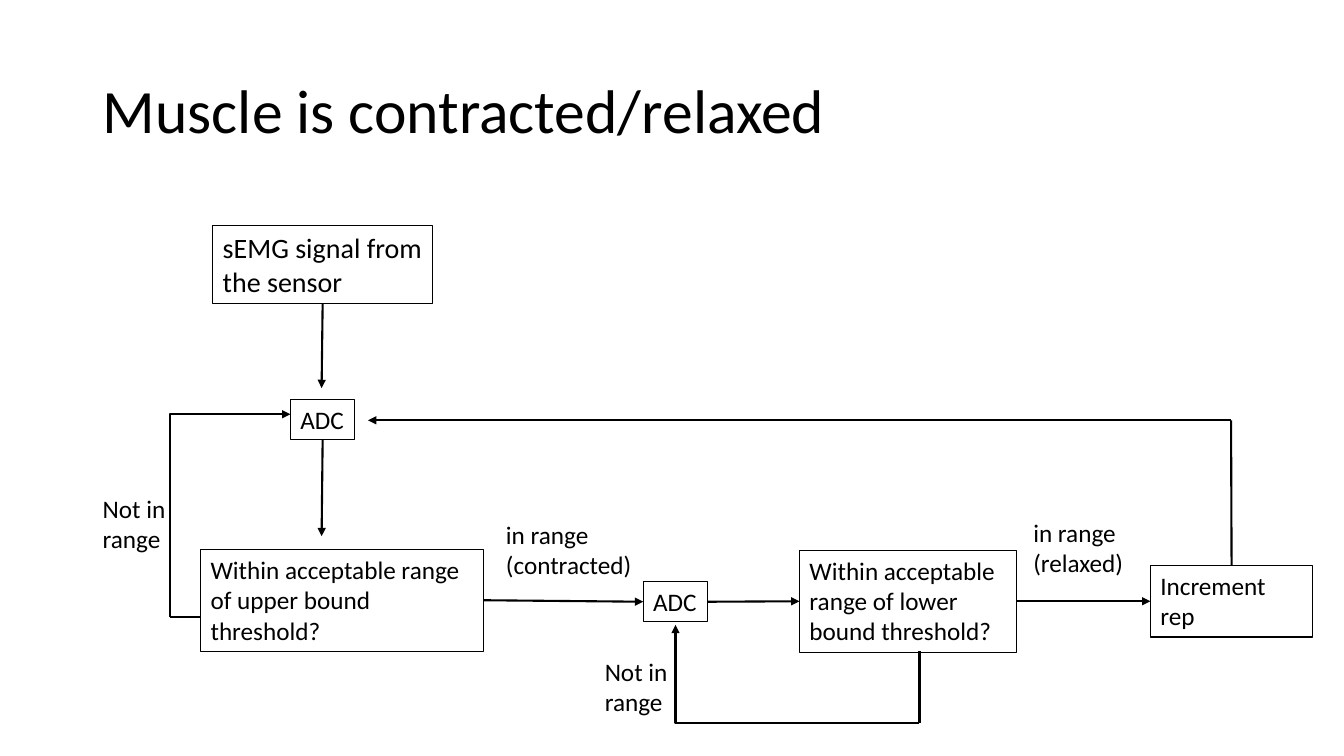
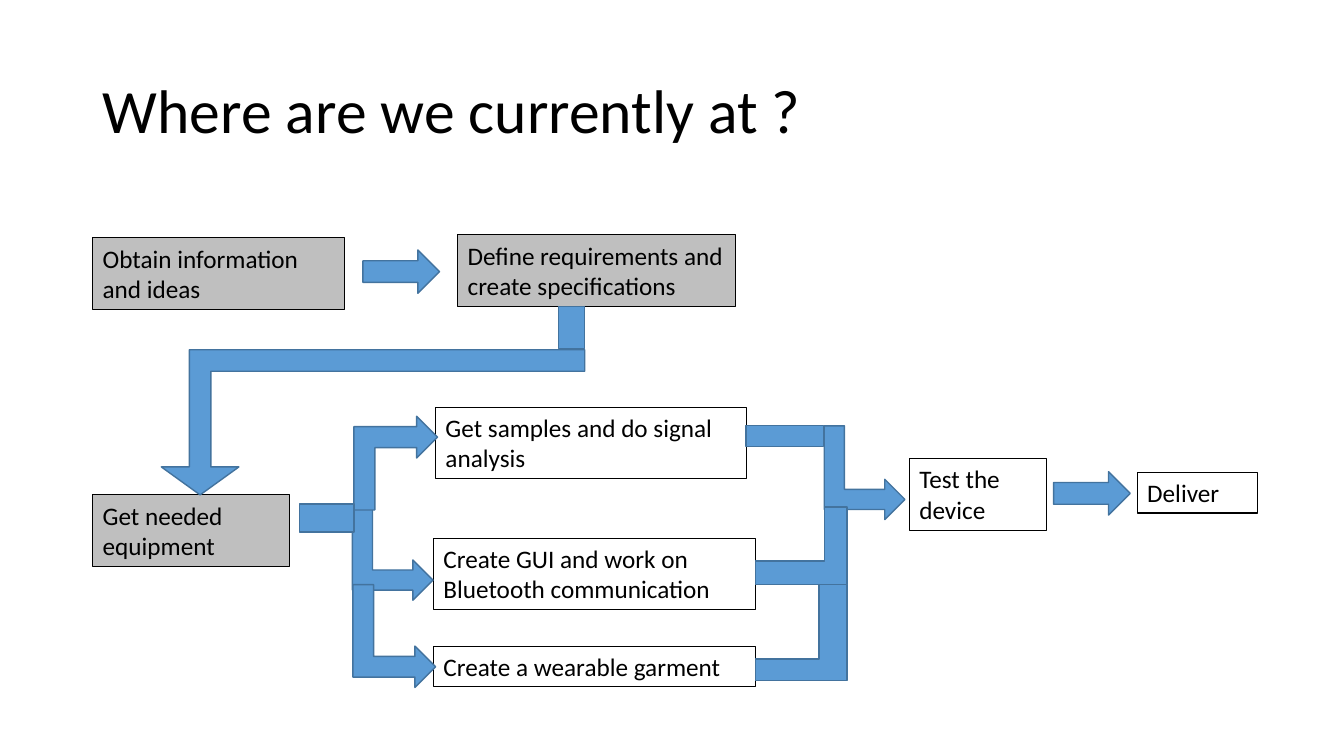
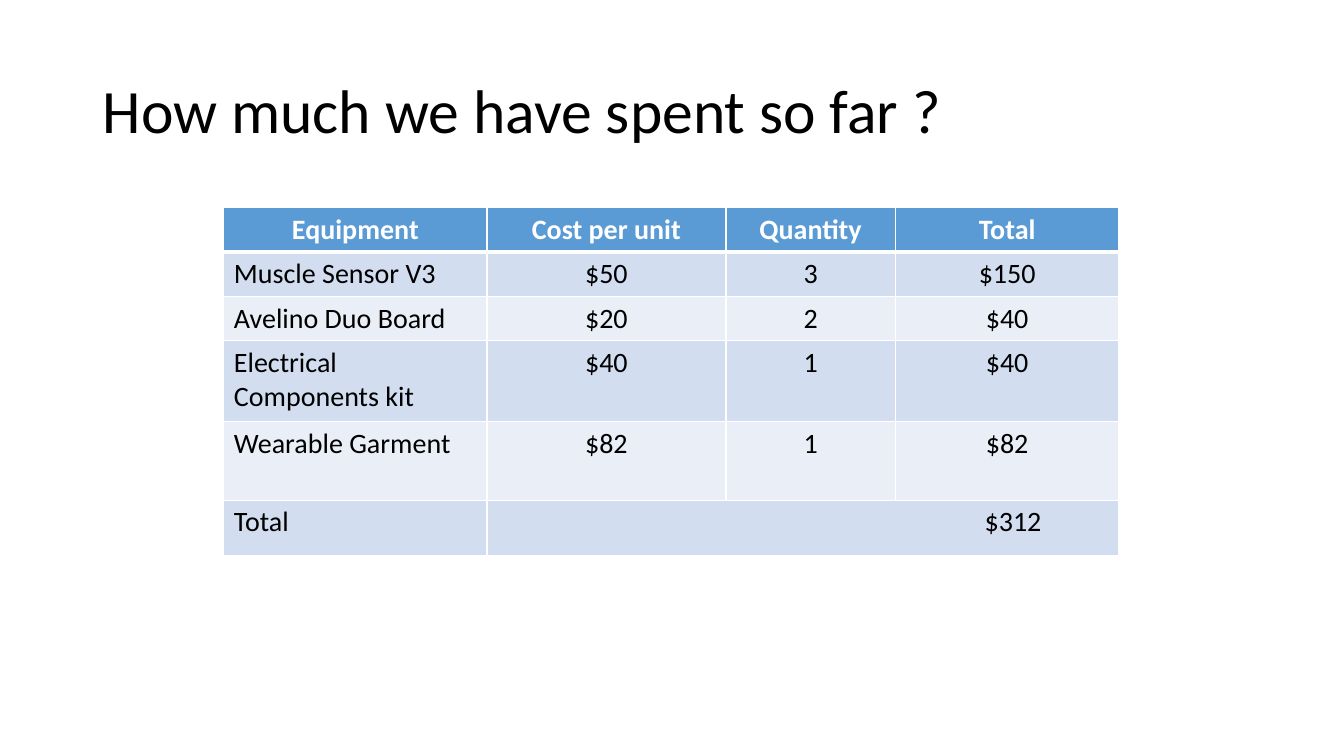
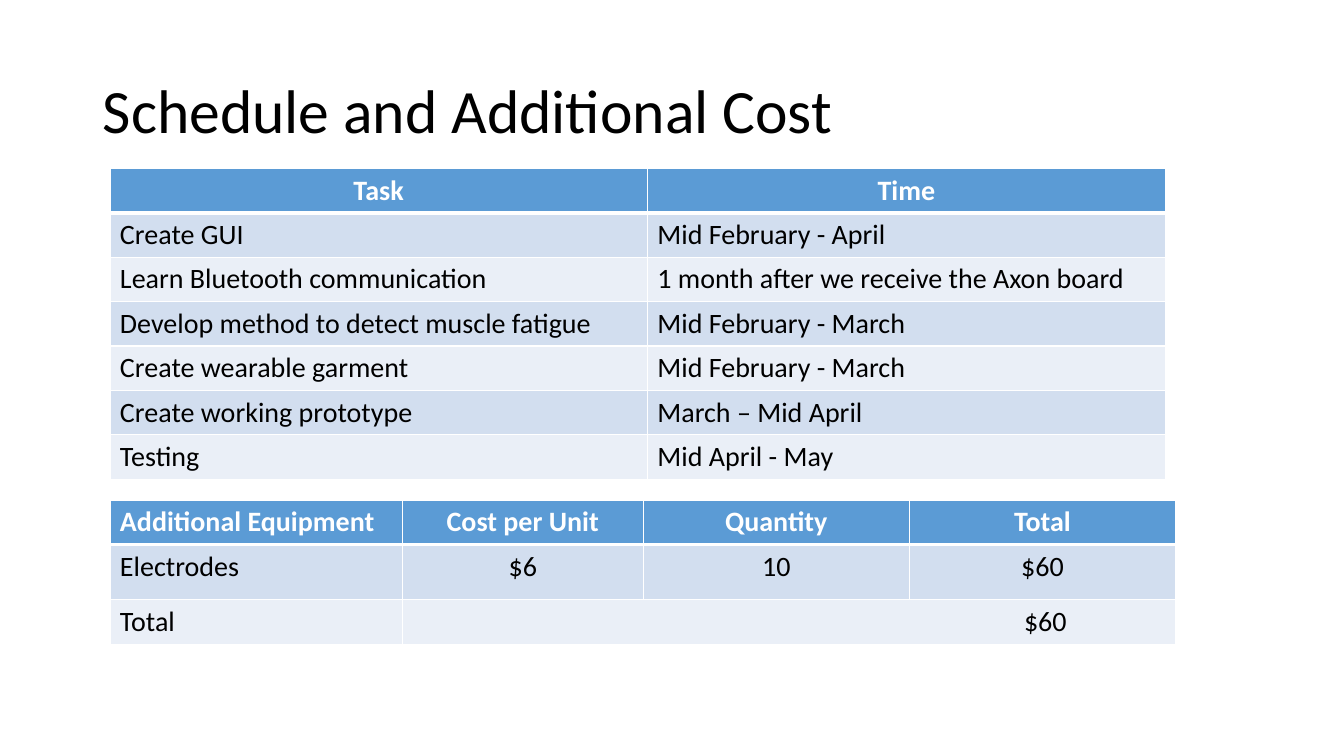
import pptx
import pptx.util
import pptx.dml.color
import pptx.enum.shapes
import pptx.enum.text
import pptx.oxml
import pptx.oxml.ns
from lxml import etree

Inches, Pt = pptx.util.Inches, pptx.util.Pt
RGBColor = pptx.dml.color.RGBColor
SHAPE = pptx.enum.shapes.MSO_SHAPE
CONNECTOR = pptx.enum.shapes.MSO_CONNECTOR
ALIGN = pptx.enum.text.PP_ALIGN
ANCHOR = pptx.enum.text.MSO_ANCHOR
qn = pptx.oxml.ns.qn

BLACK = RGBColor(0x00, 0x00, 0x00)
WHITE = RGBColor(0xFF, 0xFF, 0xFF)
DONE_GREY = RGBColor(0xBF, 0xBF, 0xBF)
ARROW_BLUE = RGBColor(0x5B, 0x9B, 0xD5)
ARROW_EDGE = RGBColor(0x43, 0x73, 0x9E)
BANDS = (RGBColor(0xD2, 0xDE, 0xEF), RGBColor(0xEA, 0xEF, 0xF7))
FONT = "Calibri"
ALIGNMENTS = {"l": ALIGN.LEFT, "c": ALIGN.CENTER, "r": ALIGN.RIGHT}
TOP, LEFT, BOTTOM, RIGHT = 0, 1, 2, 3  # connection sites


def set_text(frame, text, size, color=BLACK, align=ALIGN.LEFT, bold=False):
    frame.text = text
    paragraph = frame.paragraphs[0]
    paragraph.alignment = align
    for run in paragraph.runs:
        run.font.name, run.font.size = FONT, Pt(size)
        run.font.color.rgb, run.font.bold = color, bold


def titled_slide(deck, title):
    slide = deck.slides.add_slide(deck.slide_layouts[5])
    heading = slide.shapes.title
    heading.left, heading.top = Inches(0.92), Inches(0.4)
    heading.width, heading.height = Inches(11.5), Inches(1.45)
    set_text(heading.text_frame, title, 44)
    heading.text_frame.vertical_anchor = ANCHOR.MIDDLE
    heading.text_frame.paragraphs[0].line_spacing = 0.9
    return slide


class Diagram:
    """Draws on a slide with positions relative to the diagram's corner."""

    def __init__(self, slide, left, top):
        self.shapes, self.left, self.top = slide.shapes, left, top

    def at(self, x, y):
        return Inches(self.left + x), Inches(self.top + y)

    def shape(self, kind, x, y, width, height, fill, edge, weight):
        shape = self.shapes.add_shape(kind, *self.at(x, y), Inches(width), Inches(height))
        shape.shadow.inherit = False
        if fill is None:
            shape.fill.background()
        else:
            shape.fill.solid()
            shape.fill.fore_color.rgb = fill
        shape.line.color.rgb, shape.line.width = edge, Pt(weight)
        return shape

    def step(self, text, x, y, width, height=0.71, fill=None, size=18, wrap=True):
        step = self.shape(SHAPE.RECTANGLE, x, y, width, height, fill, BLACK, 0.75)
        set_text(step.text_frame, text, size)
        step.text_frame.word_wrap = wrap
        step.text_frame.vertical_anchor = ANCHOR.TOP
        return step

    def label(self, text, x, y, width):
        label = self.shapes.add_textbox(*self.at(x, y), Inches(width), Inches(0.71))
        label.text_frame.word_wrap = True
        set_text(label.text_frame, text, 18)

    def block(self, kind, x, y, width, height, rotation=0, adjust=(), flip=False):
        block = self.shape(kind, x, y, width, height, ARROW_BLUE, ARROW_EDGE, 1)
        block.rotation = rotation
        for index, value in enumerate(adjust):
            block.adjustments[index] = value
        if flip:
            block._element.spPr.find(qn("a:xfrm")).set("flipV", "1")

    def link(self, start, end, arrow=True, bend=None):
        """Ends are (x, y) points or (step, site) joints; bend is the elbow's share."""
        kind = CONNECTOR.STRAIGHT if bend is None else CONNECTOR.ELBOW
        points = [self.at(*e) if isinstance(e[0], (int, float)) else (e[0].left, e[0].top)
                  for e in (start, end)]
        link = self.shapes.add_connector(kind, *points[0], *points[1])
        for joint, connect in ((start, link.begin_connect), (end, link.end_connect)):
            if not isinstance(joint[0], (int, float)):
                connect(*joint)
        link.line.color.rgb, link.line.width = BLACK, Pt(1.5)
        properties = link._element.spPr
        if arrow:
            etree.SubElement(properties.find(qn("a:ln")), qn("a:tailEnd"), type="triangle")
        if bend is not None:
            geometry = properties.find(qn("a:prstGeom"))
            guides = geometry.find(qn("a:avLst"))
            if guides is None:
                guides = etree.SubElement(geometry, qn("a:avLst"))
            etree.SubElement(guides, qn("a:gd"), name="adj1", fmla=f"val {bend * 100000}")
        etree.SubElement(properties, qn("a:effectLst"))


def muscle_flow(slide, left, top):
    flow = Diagram(slide, left, top)
    # Steps
    signal = flow.step("sEMG signal from the sensor", 1.19, 0, 2.18, 0.77, size=20)
    first_adc = flow.step("ADC", 1.96, 1.72, 0.64, 0.4, wrap=False)
    upper = flow.step("Within acceptable range of upper bound threshold?", 1.07, 3.21, 2.81, 1.01)
    second_adc = flow.step("ADC", 5.46, 3.53, 0.64, 0.4, wrap=False)
    lower = flow.step("Within acceptable range of lower bound threshold?", 7.01, 3.22, 2.15, 1.01)
    increment = flow.step("Increment rep", 10.49, 3.37, 1.61)
    # Conditions
    for text, x, y, width in (("Not in range", 0, 2.6, 0.87),
                              ("in range (contracted)", 4, 2.86, 1.66),
                              ("in range (relaxed)", 9.23, 2.84, 1.7),
                              ("Not in range", 4.98, 4.22, 0.87)):
        flow.label(text, x, y, width)
    # Forward path
    flow.link((signal, BOTTOM), (2.27, 1.61))
    flow.link((first_adc, BOTTOM), (2.27, 3.08))
    for before, after in ((upper, second_adc), (second_adc, lower), (lower, increment)):
        flow.link((before, RIGHT), (after, LEFT))
    # Loops back to the converters
    flow.link((0.77, 3.88), (1.07, 3.88), arrow=False)
    flow.link((0.77, 3.88), (1.96, 1.87), bend=0)
    flow.link((8.2, 4.22), (8.2, 4.93), arrow=False)
    flow.link((8.2, 4.93), (5.78, 3.96), bend=1)
    flow.link((increment, TOP), (11.29, 1.93), arrow=False)
    flow.link((11.29, 1.93), (2.73, 1.93))


def progress_flow(slide, left, top):
    flow = Diagram(slide, left, top)
    # Finished steps
    for text, x, y, width in (("Obtain information and ideas", 0, 0.03, 2.5),
                              ("Define requirements and create specifications", 3.62, 0, 2.76),
                              ("Get needed equipment", 0, 2.58, 1.95)):
        flow.step(text, x, y, width, fill=DONE_GREY)
    # Open steps
    for text, x, y, width, height in (
            ("Get samples and do signal analysis", 3.4, 1.71, 3.08, 0.71),
            ("Create GUI and work on Bluetooth communication", 3.38, 3.01, 3.19, 0.71),
            ("Create a wearable garment", 3.38, 4.08, 3.19, 0.4),
            ("Test the device", 8.1, 2.22, 1.36, 0.71),
            ("Deliver", 10.36, 2.36, 1.19, 0.4)):
        flow.step(text, x, y, width, height)
    # Straight arrows
    for x, y in ((2.68, 0.15), (9.53, 2.35)):
        flow.block(SHAPE.RIGHT_ARROW, x, y, 0.76, 0.43)
    # Specifications to equipment
    flow.block(SHAPE.BENT_UP_ARROW, 0.68, 1.14, 4.2, 1.44, 180, (0.148, 0.267, 0.193))
    flow.block(SHAPE.RECTANGLE, 4.62, 0.71, 0.26, 0.42)
    # Equipment to the three tasks
    flow.block(SHAPE.BENT_UP_ARROW, 2.51, 2.76, 0.93, 0.8, 90)
    flow.block(SHAPE.BENT_UP_ARROW, 2.54, 1.85, 0.93, 0.83, 270, flip=True)
    flow.block(SHAPE.RECTANGLE, 2.05, 2.67, 0.54, 0.28)
    flow.block(SHAPE.BENT_UP_ARROW, 2.48, 3.57, 1.02, 0.82, 90)
    # Tasks to the test
    flow.block(SHAPE.BENT_UP_ARROW, 7.19, 1.96, 0.93, 0.8, 90)
    flow.block(SHAPE.CORNER, 6.64, 2.63, 0.77, 0.91, 270, (0.286, 0.305))
    flow.block(SHAPE.RECTANGLE, 6.48, 1.89, 0.77, 0.21)
    flow.block(SHAPE.CORNER, 6.55, 3.49, 0.95, 0.91, 270, (0.304, 0.235))


def set_borders(cell, top, bottom):
    properties = cell._tc.get_or_add_tcPr()
    for side, weight in (("L", 1), ("R", 1), ("T", top), ("B", bottom)):
        line = etree.SubElement(properties, qn(f"a:ln{side}"), w=str(int(Pt(weight))))
        fill = etree.SubElement(line, qn("a:solidFill"))
        etree.SubElement(fill, qn("a:srgbClr"), val=str(WHITE))


def data_table(slide, left, top, widths, heights, rows, head_align, body_align, total_inset=None):
    """With total_inset, the last row's sum spans all columns after the first."""
    table = slide.shapes.add_table(len(rows), len(widths), Inches(left), Inches(top),
                                   Inches(sum(widths)), Inches(sum(heights))).table
    for column, width in zip(table.columns, widths):
        column.width = Inches(width)
    for r, (values, height) in enumerate(zip(rows, heights)):
        table.rows[r].height = Inches(height)
        aligns = body_align if r else head_align
        for c, align in enumerate(aligns):
            cell = table.cell(r, c)
            set_borders(cell, 3 if r == 1 else 1, 1 if r else 3)
            cell.fill.solid()
            cell.fill.fore_color.rgb = BANDS[(r - 1) % 2] if r else ARROW_BLUE
            if c < len(values):
                set_text(cell.text_frame, values[c], 20, BLACK if r else WHITE,
                         ALIGNMENTS[align], bold=r == 0)
    if total_inset is not None:
        total = table.cell(len(rows) - 1, 1)
        total.merge(table.cell(len(rows) - 1, len(widths) - 1))
        total.text_frame.paragraphs[0].alignment = ALIGN.RIGHT
        total.margin_right = Inches(total_inset)


SPENDING = (("Equipment", "Cost per unit", "Quantity", "Total"),
            ("Muscle Sensor V3", "$50", "3", "$150"),
            ("Avelino Duo Board", "$20", "2", "$40"),
            ("Electrical Components kit", "$40", "1", "$40"),
            ("Wearable Garment", "$82", "1", "$82"),
            ("Total", "$312"))
SCHEDULE = (("Task", "Time"),
            ("Create GUI", "Mid February - April"),
            ("Learn Bluetooth communication", "1 month after we receive the Axon board"),
            ("Develop method to detect muscle fatigue", "Mid February - March"),
            ("Create wearable garment", "Mid February - March"),
            ("Create working prototype", "March – Mid April"),
            ("Testing", "Mid April - May"))
ADDITIONAL = (("Additional Equipment", "Cost per Unit", "Quantity", "Total"),
              ("Electrodes", "$6", "10", "$60"),
              ("Total", "$60"))


def main():
    deck = pptx.Presentation()
    deck.slide_width, deck.slide_height = Inches(13.33), Inches(7.5)

    muscle_flow(titled_slide(deck, "Muscle is contracted/relaxed"), 0.92, 2.24)
    progress_flow(titled_slide(deck, "Where are we currently at ?"), 0.92, 2.33)

    spending = titled_slide(deck, "How much we have spent so far ?")
    data_table(spending, 2.22, 2.06, (2.61, 2.37, 1.68, 2.22),
               (0.44, 0.44, 0.44, 0.8, 0.78, 0.55), SPENDING, "cccc", "lccc", 0.77)

    plan = titled_slide(deck, "Schedule and Additional Cost")
    data_table(plan, 1.09, 1.67, (5.33, 5.14), (0.44,) * 7, SCHEDULE, "cc", "ll")
    data_table(plan, 1.09, 4.96, (2.9, 2.39, 2.64, 2.64), (0.44, 0.55, 0.44),
               ADDITIONAL, "lccc", "lccc", 1.08)

    deck.save("out.pptx")


if __name__ == "__main__":
    main()
